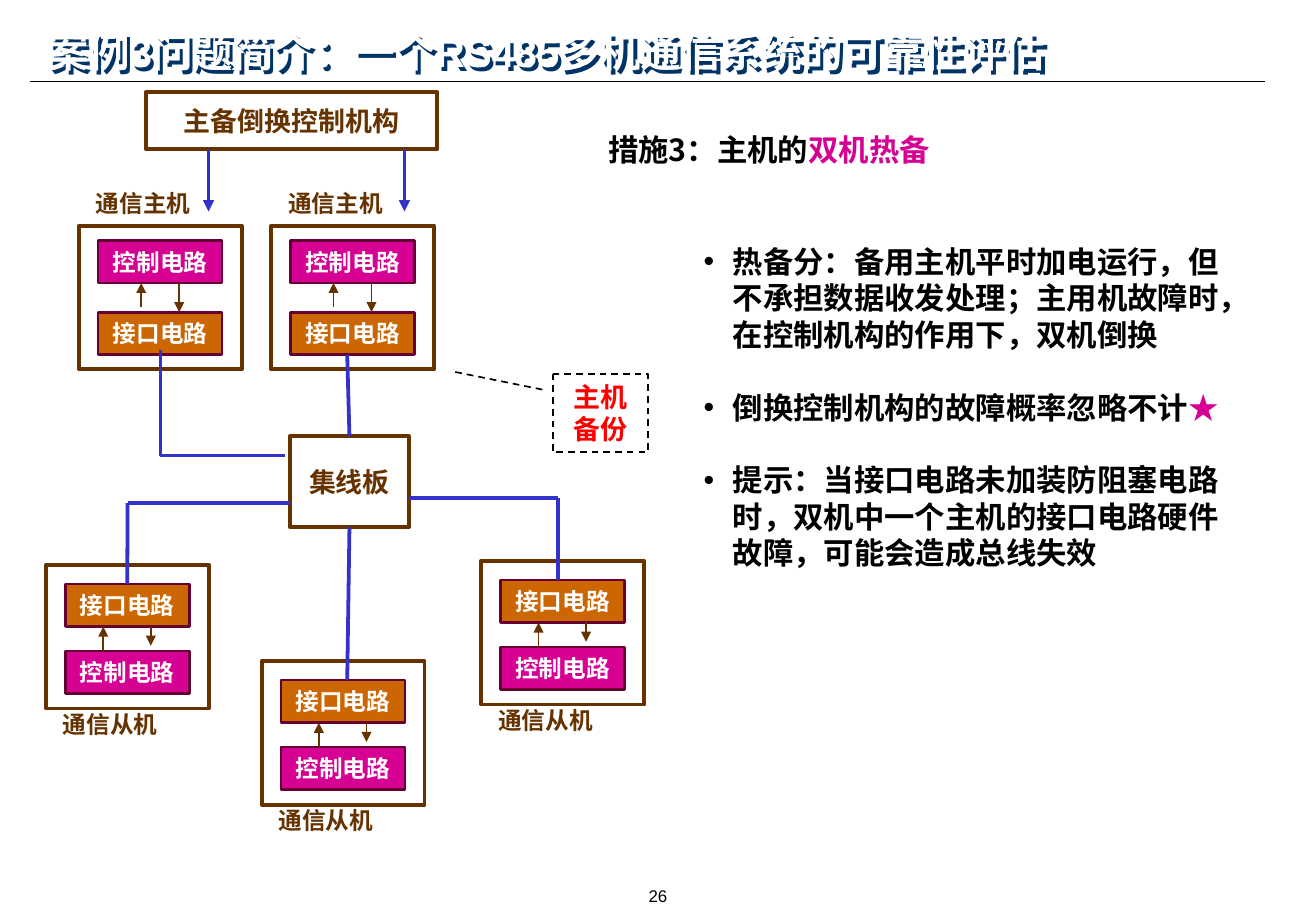
from dataclasses import dataclass
from typing import Optional

import lxml.etree
import pptx
import pptx.dml.color
import pptx.enum.dml
import pptx.enum.shapes
import pptx.enum.text
import pptx.oxml.ns
import pptx.util

Align = pptx.enum.text.PP_ALIGN
Anchor = pptx.enum.text.MSO_ANCHOR
Shape = pptx.enum.shapes.MSO_SHAPE
Point = tuple[float, float]
Runs = list[tuple[str, str]]  # text and colour


@dataclass(frozen=True)
class Theme:
    cjk: str = "Noto Sans CJK SC"
    latin: str = "Arial"
    black: str = "000000"
    white: str = "FFFFFF"
    brown: str = "663300"
    maroon: str = "660033"
    magenta: str = "D60093"
    orange: str = "CC6600"
    blue: str = "3333CC"
    red: str = "FF0000"
    navy: str = "003366"
    title: float = 24
    body: float = 18
    block: float = 16
    circuit: float = 14
    number: float = 10
    leading: float = 1.2


@dataclass(frozen=True)
class Box:
    """An area in grid columns and rows."""
    left: float
    top: float
    width: float
    height: float


@dataclass(frozen=True)
class StationKind:
    """Layout inside a station, measured from its frame's corner."""
    label: str
    label_top: float
    control_top: float
    interface_top: float
    up_arrow: tuple[Point, Point]
    down_arrow: tuple[Point, Point]


@dataclass(frozen=True)
class Station:
    kind: StationKind
    left: float
    top: float


THEME = Theme()
CELL = pptx.util.Inches(1) / 12  # the slide is 130 columns by 90 rows
HOST = StationKind("通信主机", -4.2, 1.45, 8.55, ((6.15, 8.05), (6.15, 5.65)), ((9.9, 5.65), (9.9, 8.55)))
SLAVE = StationKind("通信从机", 13.75, 8.5, 1.9, ((5.65, 8.5), (5.65, 6.1)), ((10.35, 6.1), (10.35, 8)))
HOSTS = [Station(HOST, 7.8, 22.3), Station(HOST, 26.8, 22.3)]
SLAVES = [Station(SLAVE, 4.55, 55.8), Station(SLAVE, 25.85, 65.3), Station(SLAVE, 47.55, 55.4)]
HUB = Box(28.65, 43.1, 11.75, 9)
SWITCH = Box(14.4, 9.1, 28.8, 5.65)
BENT_WIRES: list[list[Point]] = [
    [(15.85, 34.6), (15.85, 45), (28.2, 45)],
    [(40.4, 49.2), (55.1, 49.2), (55.1, 57.3)],
]
BULLETS: list[Runs] = [
    [("热备分：备用主机平时加电运行，但不承担数据收发处理；主用机故障时，在控制机构的作用下，双机倒换", THEME.black)],
    [("倒换控制机构的故障概率忽略不计", THEME.black), ("★", THEME.magenta)],
    [("提示：当接口电路未加装防阻塞电路时，双机中一个主机的接口电路硬件故障，可能会造成总线失效", THEME.black)],
]

presentation = pptx.Presentation()
presentation.slide_width = round(130 * CELL)
presentation.slide_height = round(90 * CELL)
slide = presentation.slides.add_slide(presentation.slide_layouts[1])


def cells(*values: float) -> list[int]:
    return [round(value * CELL) for value in values]


def area(box: Box) -> list[int]:
    return cells(box.left, box.top, box.width, box.height)


def color(code: str) -> pptx.dml.color.RGBColor:
    return pptx.dml.color.RGBColor.from_string(code)


def write(shape, paragraphs: list[Runs], size: float, align=Align.CENTER, anchor=Anchor.MIDDLE,
          inset: float = 0, font: str = THEME.cjk, bold: bool = True) -> None:
    frame = shape.text_frame
    frame.word_wrap = True
    frame.auto_size = pptx.enum.text.MSO_AUTO_SIZE.NONE
    frame.vertical_anchor = anchor
    frame.margin_left = frame.margin_right = pptx.util.Inches(inset)
    frame.margin_top = frame.margin_bottom = pptx.util.Inches(0.05)
    for index, runs in enumerate(paragraphs):
        paragraph = frame.add_paragraph() if index else frame.paragraphs[0]
        paragraph.alignment = align
        paragraph.line_spacing = pptx.util.Pt(size * THEME.leading)
        paragraph.space_before = pptx.util.Pt(0)
        paragraph.font.size = pptx.util.Pt(size)
        paragraph.font.bold = bold
        paragraph.font.name = font
        paragraph.font.color.rgb = color(runs[0][1])
        defaults = paragraph._p.pPr.find(pptx.oxml.ns.qn("a:defRPr"))
        lxml.etree.SubElement(defaults, pptx.oxml.ns.qn("a:ea"), typeface=THEME.cjk)
        for text, code in runs:
            run = paragraph.add_run()
            run.text = text
            if code != runs[0][1]:
                run.font.color.rgb = color(code)


def add_box(box: Box, line: str, width: float, fill: Optional[str] = None, kind=Shape.RECTANGLE):
    shape = slide.shapes.add_shape(kind, *area(box))
    shape.shadow.inherit = False
    if fill:
        shape.fill.solid()
        shape.fill.fore_color.rgb = color(fill)
    else:
        shape.fill.background()
    shape.line.color.rgb = color(line)
    shape.line.width = pptx.util.Pt(width)
    return shape


def add_text(box: Box, runs: Runs, size: float, **style) -> None:
    write(slide.shapes.add_textbox(*area(box)), [runs], size, **style)


def add_line(start: Point, end: Point, code: str = THEME.blue, width: float = 2.25, arrow: bool = False):
    line = slide.shapes.add_connector(pptx.enum.shapes.MSO_CONNECTOR.STRAIGHT, *cells(*start, *end))
    line.line.color.rgb = color(code)
    line.line.width = pptx.util.Pt(width)
    if arrow:
        lxml.etree.SubElement(line.line._get_or_add_ln(), pptx.oxml.ns.qn("a:tailEnd"), type="triangle")
    lxml.etree.SubElement(line._element.spPr, pptx.oxml.ns.qn("a:effectLst"))
    return line


def add_station(station: Station):
    """Draw a station and return its interface circuit."""
    kind, left, top = station.kind, station.left, station.top
    add_box(Box(left, top, 16.1, 14.2), THEME.brown, 2.25)
    for text, offset, fill in (("控制电路", kind.control_top, THEME.magenta),
                               ("接口电路", kind.interface_top, THEME.orange)):
        circuit = add_box(Box(left + 1.9, top + offset, 12.25, 4.2), THEME.maroon, 1.5, fill)
        write(circuit, [[(text, THEME.white)]], THEME.circuit)
    add_text(Box(left - 1.45, top + kind.label_top, 15.6, 4), [(kind.label, THEME.brown)], THEME.circuit)
    for start, end in (kind.up_arrow, kind.down_arrow):
        add_line((left + start[0], top + start[1]), (left + end[0], top + end[1]), THEME.brown, 1, True)
    return circuit


def add_diagram() -> None:
    switch = add_box(SWITCH, THEME.brown, 2.25)
    write(switch, [[("主备倒换控制机构", THEME.brown)]], THEME.block)
    for column in (20.6, 39.95):
        add_line((column, 14.75), (column, 20.9), arrow=True)
    hub = add_box(HUB, THEME.brown, 2.25)
    write(hub, [[("集线板", THEME.brown)]], THEME.block)
    for host in HOSTS:
        add_station(host)
    slave_interfaces = [add_station(slave) for slave in SLAVES]
    for points in BENT_WIRES:
        for start, end in zip(points, points[1:]):
            add_line(start, end)
    add_line((12.6, 49.7), (28.65, 49.7))
    add_line((12.6, 49.7), (12.6, 57.7)).end_connect(slave_interfaces[0], 0)
    add_line((34.3, 43.1), (34.3, 35.05)).begin_connect(hub, 0)
    add_line((34.3, 52.1), (34.3, 67.2)).begin_connect(hub, 2)
    callout = add_box(Box(54.6, 36.95, 9.4, 7.7), THEME.black, 1, THEME.white, Shape.LINE_CALLOUT_1)
    callout.line.dash_style = pptx.enum.dml.MSO_LINE.DASH
    for index, value in enumerate((0.2, -0.11, -0.03, -1.04)):
        callout.adjustments[index] = value
    write(callout, [[("主机", THEME.red)], [("备份", THEME.red)]], THEME.block)


def add_title() -> None:
    title = slide.shapes.title
    title.left, title.top, title.width, title.height = area(Box(3.6, 2.1, 110.5, 6))
    write(title, [[("案例3问题简介：一个RS485多机通信系统的可靠性评估", THEME.white)]], THEME.title,
          align=Align.LEFT, inset=0.1, font=THEME.latin)
    title.shadow.inherit = False
    effects = title._element.spPr.find(pptx.oxml.ns.qn("a:effectLst"))
    shadow = lxml.etree.SubElement(effects, pptx.oxml.ns.qn("a:outerShdw"), dist="36000", dir="2700000")
    lxml.etree.SubElement(shadow, pptx.oxml.ns.qn("a:srgbClr"), val=THEME.navy)


def add_body() -> None:
    body = slide.placeholders[1]
    body.left, body.top, body.width, body.height = area(Box(68.3, 23.4, 54.4, 33.6))
    write(body, BULLETS, THEME.body, align=Align.LEFT, anchor=Anchor.TOP, inset=0.1)
    indent = pptx.util.Inches(0.24)
    for paragraph in body.text_frame.paragraphs:
        paragraph.space_after = pptx.util.Pt(THEME.body * THEME.leading)
        paragraph._p.pPr.set("marL", str(indent))
        paragraph._p.pPr.set("indent", str(-indent))


def main() -> None:
    add_line((3, 8.05), (125, 8.05), THEME.black, 0.75)
    add_title()
    add_text(Box(58.9, 12.4, 67, 4.8), [("措施3：主机的", THEME.black), ("双机热备", THEME.magenta)],
             THEME.body, align=Align.LEFT, inset=0.1)
    add_body()
    add_diagram()
    add_text(Box(44.4, 87, 41.2, 3), [("26", THEME.black)], THEME.number, font=THEME.latin, bold=False)
    presentation.save("out.pptx")


if __name__ == "__main__":
    main()
